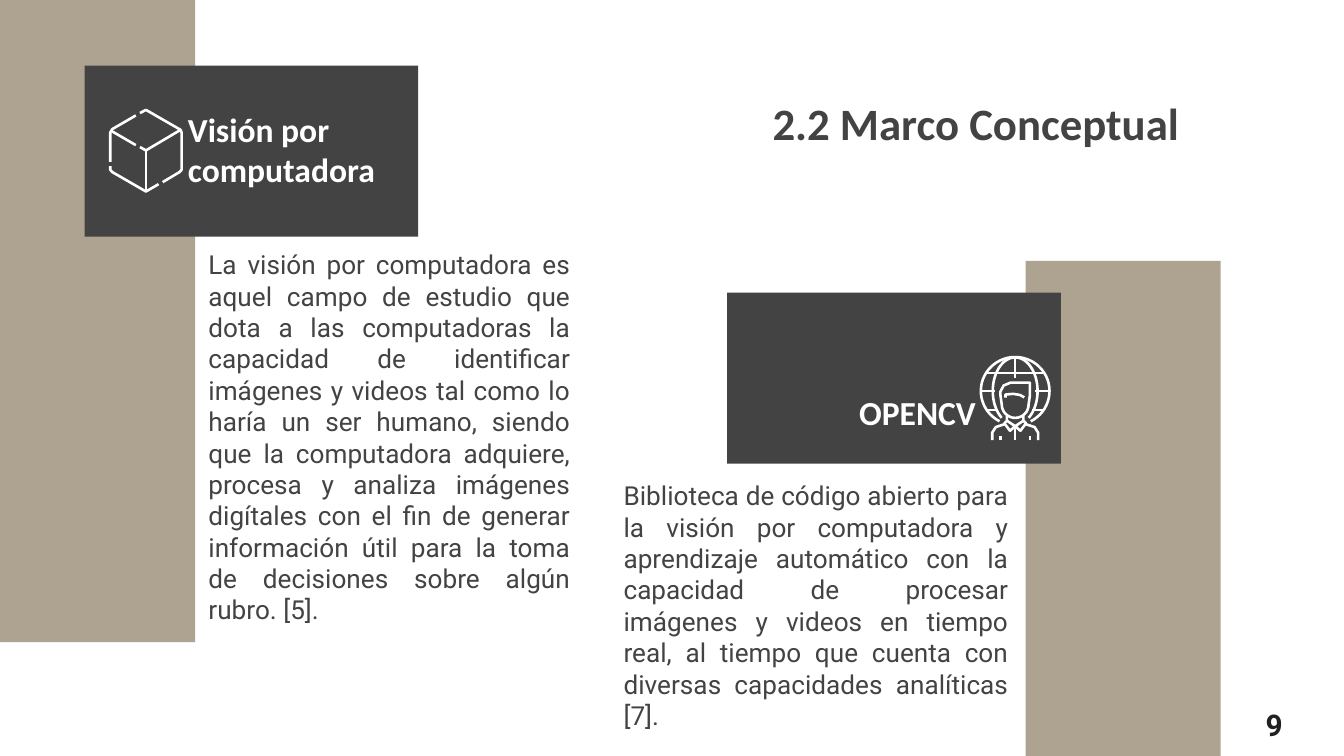
from math import cos, radians, sin

from lxml.etree import SubElement
from pptx import Presentation
from pptx.dml.color import RGBColor
from pptx.enum.shapes import MSO_SHAPE
from pptx.enum.text import MSO_ANCHOR, PP_ALIGN
from pptx.oxml.ns import qn
from pptx.util import Pt

TAUPE = RGBColor(0x90, 0x82, 0x69)
CHARCOAL = RGBColor(0x43, 0x43, 0x43)
BLACK = RGBColor(0x21, 0x21, 0x21)
WHITE = RGBColor(0xFF, 0xFF, 0xFF)

VISION = (
    "La visión por computadora es aquel campo de estudio que dota a las "
    "computadoras la capacidad de identificar imágenes y videos tal como lo "
    "haría un ser humano, siendo que la computadora adquiere, procesa y analiza "
    "imágenes digítales con el fin de generar información útil para la toma de "
    "decisiones sobre algún rubro. [5]."
)
OPENCV = (
    "Biblioteca de código abierto para la visión por computadora y aprendizaje "
    "automático con la capacidad de procesar imágenes y videos en tiempo real, "
    "al tiempo que cuenta con diversas capacidades analíticas [7]."
)


def add_block(slide, x, y, w, h, color, opacity=100):
    sp = slide.shapes.add_shape(MSO_SHAPE.RECTANGLE, Pt(x), Pt(y), Pt(w), Pt(h))
    sp.shadow.inherit = False
    sp.fill.solid()
    sp.fill.fore_color.rgb = color
    sp.line.fill.background()
    if opacity < 100:
        clr = sp._element.spPr.find(".//" + qn("a:srgbClr"))
        SubElement(clr, qn("a:alpha")).set("val", str(opacity * 1000))


def add_text(slide, text, x, y, w, h, size, color, font="Calibri", bold=True,
             align=PP_ALIGN.LEFT, anchor=MSO_ANCHOR.TOP):
    tf = slide.shapes.add_textbox(Pt(x), Pt(y), Pt(w), Pt(h)).text_frame
    tf.word_wrap = True
    tf.vertical_anchor = anchor
    tf.margin_left = tf.margin_right = tf.margin_top = tf.margin_bottom = Pt(7.2)
    tf.text = text
    p = tf.paragraphs[0]
    p.alignment = align
    r = p.runs[0]
    r.font.name, r.font.size, r.font.bold = font, Pt(size), bold
    r.font.color.rgb = color


def add_body(slide, text, x, y, w):
    add_text(slide, text, x, y, w, 87.8, 14, CHARCOAL, "Roboto", False, PP_ALIGN.JUSTIFY)


def add_icon(slide, x, y, strokes):
    """Draw white strokes, given relative to the top centre (x, y), as one outline."""
    paths = [[(Pt(x + dx), Pt(y + dy)) for dx, dy in stroke] for stroke in strokes]
    builder = slide.shapes.build_freeform(*paths[0][0], scale=1.0)
    for i, path in enumerate(paths):
        if i:
            builder.move_to(*path[0])
        builder.add_line_segments(path[1:], close=False)
    sp = builder.convert_to_shape()
    sp.shadow.inherit = False
    sp.fill.background()
    sp.line.color.rgb = WHITE
    sp.line.width = Pt(1.4)


def arc(cx, cy, rx, ry, start, end, steps=48):
    angles = [radians(start + (end - start) * i / steps) for i in range(steps + 1)]
    return [(cx + rx * cos(a), cy + ry * sin(a)) for a in angles]


def mirrored(strokes):
    return strokes + [[(-x, y) for x, y in stroke] for stroke in strokes]


def cube_strokes():
    return [
        [(-3.2, 2.2), (0, 0.5), (18.6, 11.2), (0, 22.2), (-3.2, 20.4)],
        [(0, 22.2), (0, 44.2)],
        [(-5.4, 3.5), (-18, 10.8), (-19.1, 12.6), (-19.1, 28.4)],
        [(-18.8, 11.6), (-5.4, 19.4)],
        [(-19.1, 30.7), (-19.1, 32.6), (-18, 33.8), (0, 44.2), (6.8, 40.3)],
        [(18.6, 11.2), (19.1, 12.6), (19.1, 32.6), (18, 33.8), (9, 39.2)],
    ]


def globe_strokes():
    return [
        arc(0, 18.7, 18.4, 18.2, 117, 423),
        arc(0, 18.7, 12, 18, 127, 413),
        [(0, 0.7), (0, 11.5)],
        [(-15.3, 9.1), (15.3, 9.1)],
    ] + mirrored([
        [(-18.4, 18.7), (-10.8, 18.7)],
        [(-15.3, 28.8), (-9.2, 28.8)],
    ])


def person_strokes():
    chin = arc(0, 25.9, 7.2, 7.2, 0, 180, 16)
    hair = [(-7.9, 21), (-7.9, 19), (-6.2, 15.8), (-2.5, 14.2), (7.9, 14.2)]
    return [
        [(7.9, 14.2), (7.9, 21)] + chin + hair,
        [(-5.2, 22.3), (-5.2, 20.6), (-1, 20.2), (2.5, 20.8), (4.9, 22.1)],
        [(0, 37.6), (0, 45)],
    ] + mirrored([
        [(-4.4, 32.2), (-4.4, 34.6), (0, 37.6), (-2.8, 40), (-5.8, 36), (-4.4, 34.6)],
        [(-5.8, 36.5), (-10.4, 38), (-12.3, 41), (-12.3, 45)],
        [(-7.9, 42.8), (-7.9, 45)],
    ])


def main():
    prs = Presentation()
    prs.slide_width, prs.slide_height = Pt(720), Pt(405)
    slide = prs.slides.add_slide(prs.slide_layouts[6])

    add_block(slide, 549.4, 139.8, 104.6, 265.2, TAUPE, 73)
    add_block(slide, 389.5, 156.8, 178.8, 91.6, CHARCOAL)
    add_block(slide, 0, 0, 104.6, 344, TAUPE, 73)
    add_block(slide, 45.3, 35.2, 178.8, 91.6, CHARCOAL)

    add_text(slide, "2.2 Marco Conceptual", 406.8, 46.8, 295.2, 38.2, 24, CHARCOAL,
             anchor=MSO_ANCHOR.MIDDLE)
    add_icon(slide, 78.2, 58.4, cube_strokes())
    add_icon(slide, 543.9, 190.8, globe_strokes() + person_strokes())
    add_body(slide, VISION, 104.6, 126, 208)
    add_body(slide, OPENCV, 327, 249.8, 220.3)
    add_text(slide, "OPENCV", 384.5, 156.2, 145.4, 82.4, 18, WHITE,
             align=PP_ALIGN.RIGHT, anchor=MSO_ANCHOR.BOTTOM)
    add_text(slide, "Visión por computadora", 93.6, 78.5, 151.2, 30.2, 18, WHITE,
             anchor=MSO_ANCHOR.BOTTOM)
    add_text(slide, "9", 671, 371.5, 49, 22.3, 16, BLACK, "Roboto",
             align=PP_ALIGN.JUSTIFY)
    prs.save("out.pptx")


if __name__ == "__main__":
    main()
